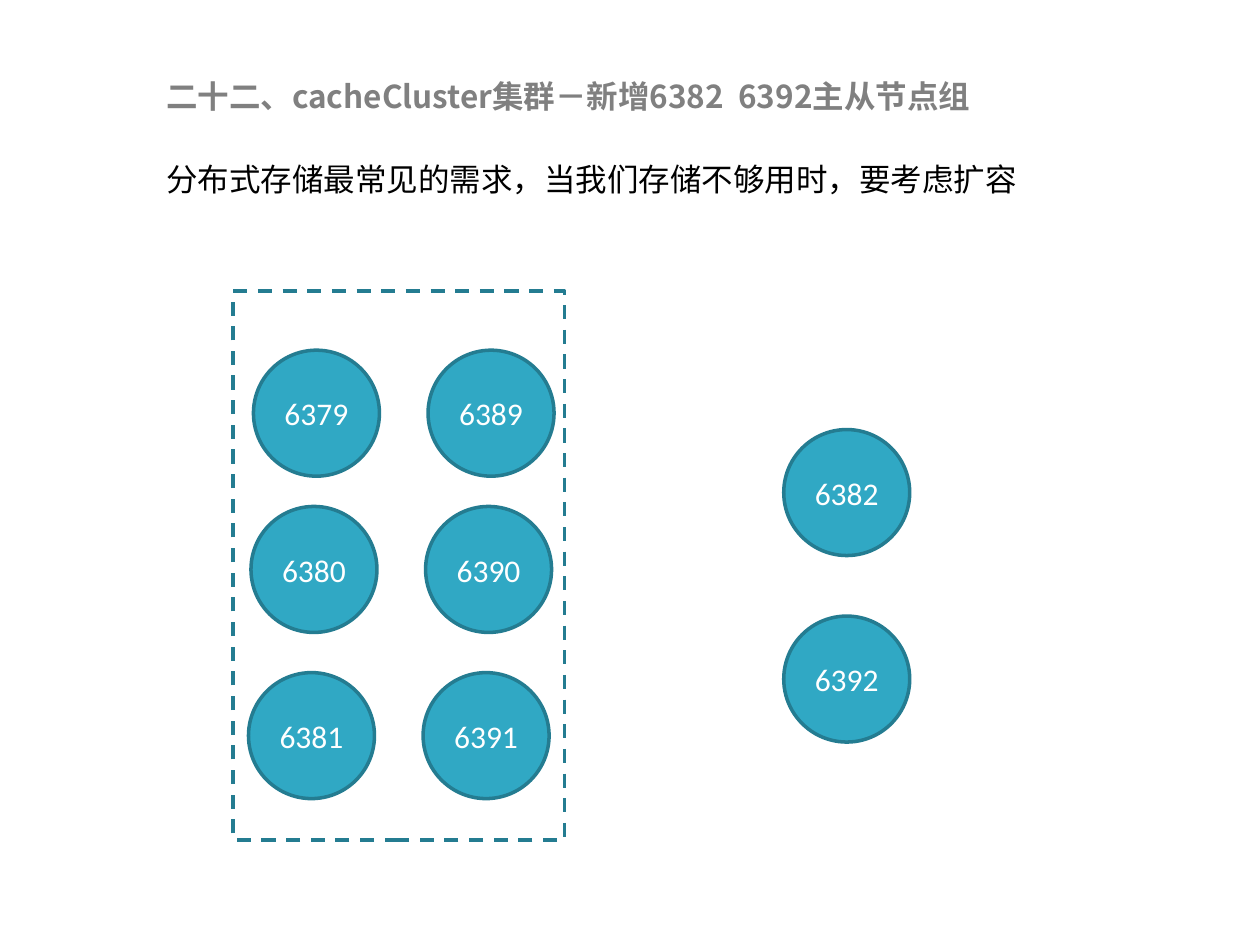
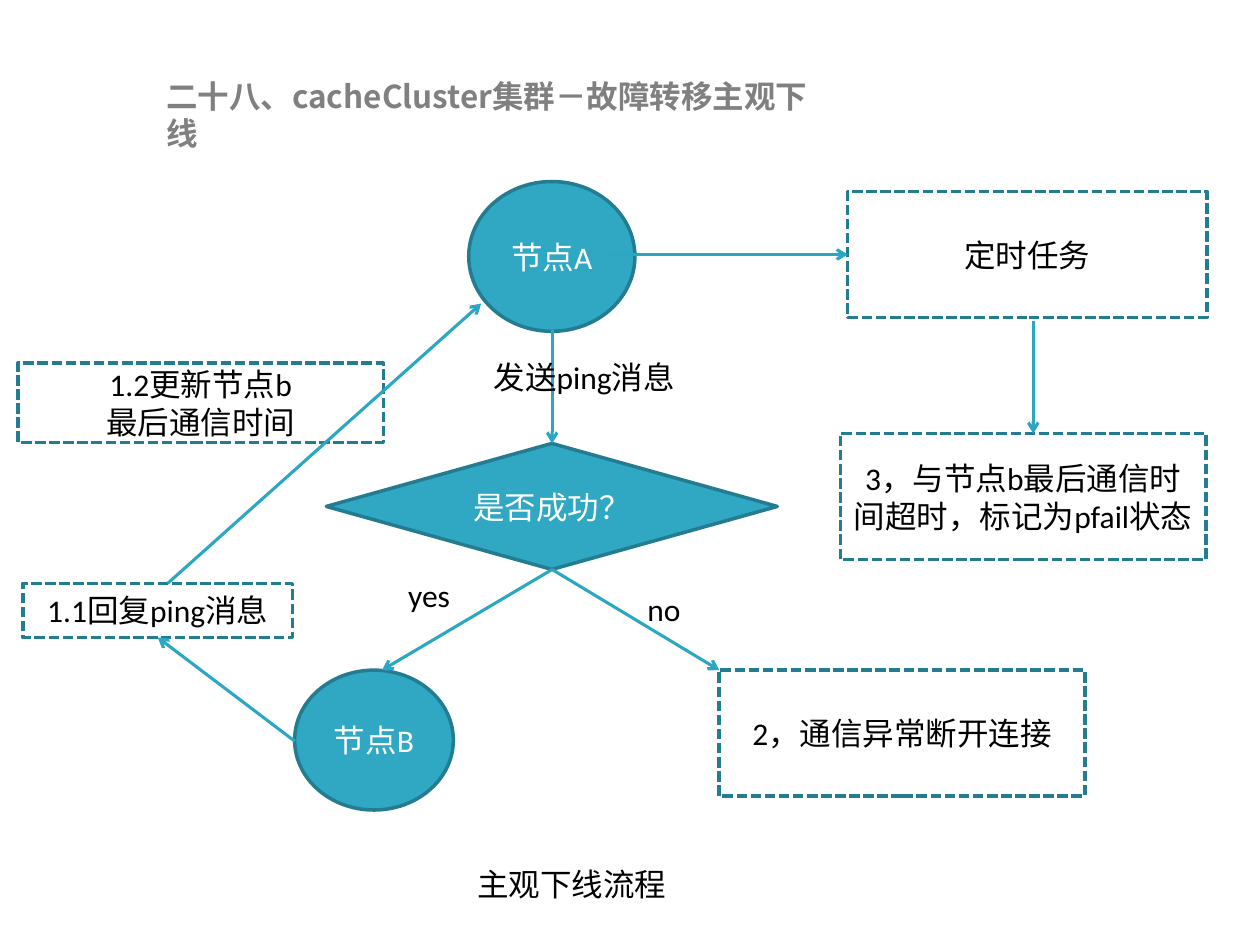
"""Builds two slides on cluster scaling and subjective node failure."""
from lxml.etree import SubElement
from pptx import Presentation
from pptx.dml.color import RGBColor
from pptx.enum.dml import MSO_LINE
from pptx.enum.shapes import MSO_CONNECTOR, MSO_SHAPE
from pptx.enum.text import MSO_ANCHOR, MSO_AUTO_SIZE, PP_ALIGN
from pptx.oxml.ns import qn
from pptx.util import Cm, Pt

WHITE = RGBColor(0xFF, 0xFF, 0xFF)
BLACK = RGBColor(0x00, 0x00, 0x00)
TITLE_GRAY = RGBColor(0x80, 0x80, 0x80)
NODE_FILL = RGBColor(0x30, 0xA8, 0xC4)
OUTLINE = RGBColor(0x24, 0x7C, 0x91)
ARROW = RGBColor(0x2B, 0xA7, 0xC3)
LATIN_FONT = "Calibri"
CHINESE_FONT = "Noto Sans CJK SC"
TEXT_SIZE = Pt(18)

TITLE_LEFT, TITLE_TOP, TEXT_HEIGHT = 3.1, 1.42, 1.02
NODE_SIZE = 2.54

SCALING_TITLE = ("二十二、cacheCluster集群－新增6382  6392主从节点组", 16.71)
SCALING_NOTE = ("分布式存储最常见的需求，当我们存储不够用时，要考虑扩容", 3.1, 3.1, 17.65)
CLIENT_FRAME = (4.7, 5.87, 6.68, 11.07)
CLUSTER_LEFT, COLUMN_PITCH, ROW_SHIFT = 5.11, 3.52, -0.05
CLUSTER_ROWS = [
    (7.06, ("6379", "6389")),
    (10.21, ("6380", "6390")),
    (13.56, ("6381", "6391")),
]
NEW_NODE_LEFT = 15.8
NEW_NODES = [(8.66, "6382"), (12.42, "6392")]

FAILURE_TITLE = ("二十八、cacheCluster集群－故障转移主观下线", 13.84)
FLOW_NODES = [
    (MSO_SHAPE.OVAL, "节点A", (9.45, 3.66, 3.35, 3.02)),
    (MSO_SHAPE.DIAMOND, "是否成功？", (6.58, 8.94, 9.09, 2.54)),
    (MSO_SHAPE.OVAL, "节点B", (5.94, 13.51, 3.2, 2.82)),
]
FLOW_STEPS = [
    ("定时任务", (17.09, 3.86, 7.24, 2.54)),
    ("3，与节点b最后通信时间超时，标记为pfail状态", (16.94, 8.74, 7.37, 2.54)),
    ("1.2更新节点b\n最后通信时间", (0.36, 7.32, 7.37, 1.6)),
    ("1.1回复ping消息", (0.46, 11.76, 5.44, 1.09)),
    ("2，通信异常断开连接", (14.5, 13.51, 7.37, 2.54)),
]
FLOW_ARROWS = [
    (12.29, 5.13, 17.09, 5.13),
    (11.13, 6.65, 11.13, 8.94),
    (11.13, 11.48, 7.7, 13.51),
    (11.13, 11.48, 14.5, 13.51),
    (5.94, 14.94, 3.18, 12.85),
    (20.83, 6.48, 20.83, 8.74),
    (3.38, 11.76, 9.7, 6.12),
]
FLOW_LABELS = [
    ("yes", 7.98, 11.48, 1.35),
    ("no", 12.8, 11.76, 1.17),
    ("主观下线流程", 9.37, 17.32, 4.32),
    ("发送ping消息", 9.7, 7.09, 4.17),
]


def write_text(shape, text, color, font_name=LATIN_FONT, bold=False, alignment=None):
    frame = shape.text_frame
    frame.word_wrap = True
    frame.text = text
    for paragraph in frame.paragraphs:
        paragraph.alignment = alignment
        font = paragraph.font
        font.size, font.bold, font.name = TEXT_SIZE, bold, font_name
        font.color.rgb = color
        properties = paragraph._p.get_or_add_pPr().get_or_add_defRPr()
        SubElement(properties, qn("a:ea")).set("typeface", CHINESE_FONT)


def add_label(slide, text, left, top, width, color=BLACK, font_name=LATIN_FONT, bold=False):
    box = slide.shapes.add_textbox(Cm(left), Cm(top), Cm(width), Cm(TEXT_HEIGHT))
    write_text(box, text, color, font_name, bold)
    box.text_frame.auto_size = MSO_AUTO_SIZE.SHAPE_TO_FIT_TEXT


def add_outlined(slide, kind, bounds, text="", fill=None, color=BLACK, dash=None):
    shape = slide.shapes.add_shape(kind, *map(Cm, bounds))
    shape.shadow.inherit = False
    if fill is None:
        shape.fill.background()
    else:
        shape.fill.solid()
        shape.fill.fore_color.rgb = fill
    shape.line.color.rgb = OUTLINE
    shape.line.width = Pt(2)
    if dash is not None:
        shape.line.dash_style = dash
    if text:
        write_text(shape, text, color, alignment=PP_ALIGN.CENTER)
        shape.text_frame.vertical_anchor = MSO_ANCHOR.MIDDLE


def add_node(slide, text, bounds, kind=MSO_SHAPE.OVAL):
    add_outlined(slide, kind, bounds, text, NODE_FILL, WHITE)


def add_arrow(slide, points):
    connector = slide.shapes.add_connector(MSO_CONNECTOR.STRAIGHT, *map(Cm, points))
    connector.line.color.rgb = ARROW
    connector.line.width = Pt(1.75)
    SubElement(connector.line._get_or_add_ln(), qn("a:tailEnd")).set("type", "arrow")
    SubElement(connector._element.spPr, qn("a:effectLst"))


def add_titled_slide(presentation, title, width):
    slide = presentation.slides.add_slide(presentation.slide_layouts[6])
    add_label(slide, title, TITLE_LEFT, TITLE_TOP, width, TITLE_GRAY, CHINESE_FONT, True)
    return slide


def build_scaling_slide(presentation):
    slide = add_titled_slide(presentation, *SCALING_TITLE)
    add_label(slide, *SCALING_NOTE, font_name=CHINESE_FONT)
    add_outlined(slide, MSO_SHAPE.RECTANGLE, CLIENT_FRAME, dash=MSO_LINE.DASH)
    for row, (top, ports) in enumerate(CLUSTER_ROWS):
        for column, port in enumerate(ports):
            left = CLUSTER_LEFT + column * COLUMN_PITCH + row * ROW_SHIFT
            add_node(slide, port, (left, top, NODE_SIZE, NODE_SIZE))
    for top, port in NEW_NODES:
        add_node(slide, port, (NEW_NODE_LEFT, top, NODE_SIZE, NODE_SIZE))


def build_failure_slide(presentation):
    slide = add_titled_slide(presentation, *FAILURE_TITLE)
    for kind, text, bounds in FLOW_NODES:
        add_node(slide, text, bounds, kind)
    for text, bounds in FLOW_STEPS:
        add_outlined(slide, MSO_SHAPE.RECTANGLE, bounds, text, WHITE, dash=MSO_LINE.SQUARE_DOT)
    for points in FLOW_ARROWS:
        add_arrow(slide, points)
    for label in FLOW_LABELS:
        add_label(slide, *label)


def main():
    presentation = Presentation()
    presentation.slide_width, presentation.slide_height = Cm(25.4), Cm(19.05)
    build_scaling_slide(presentation)
    build_failure_slide(presentation)
    presentation.save("out.pptx")


main()
